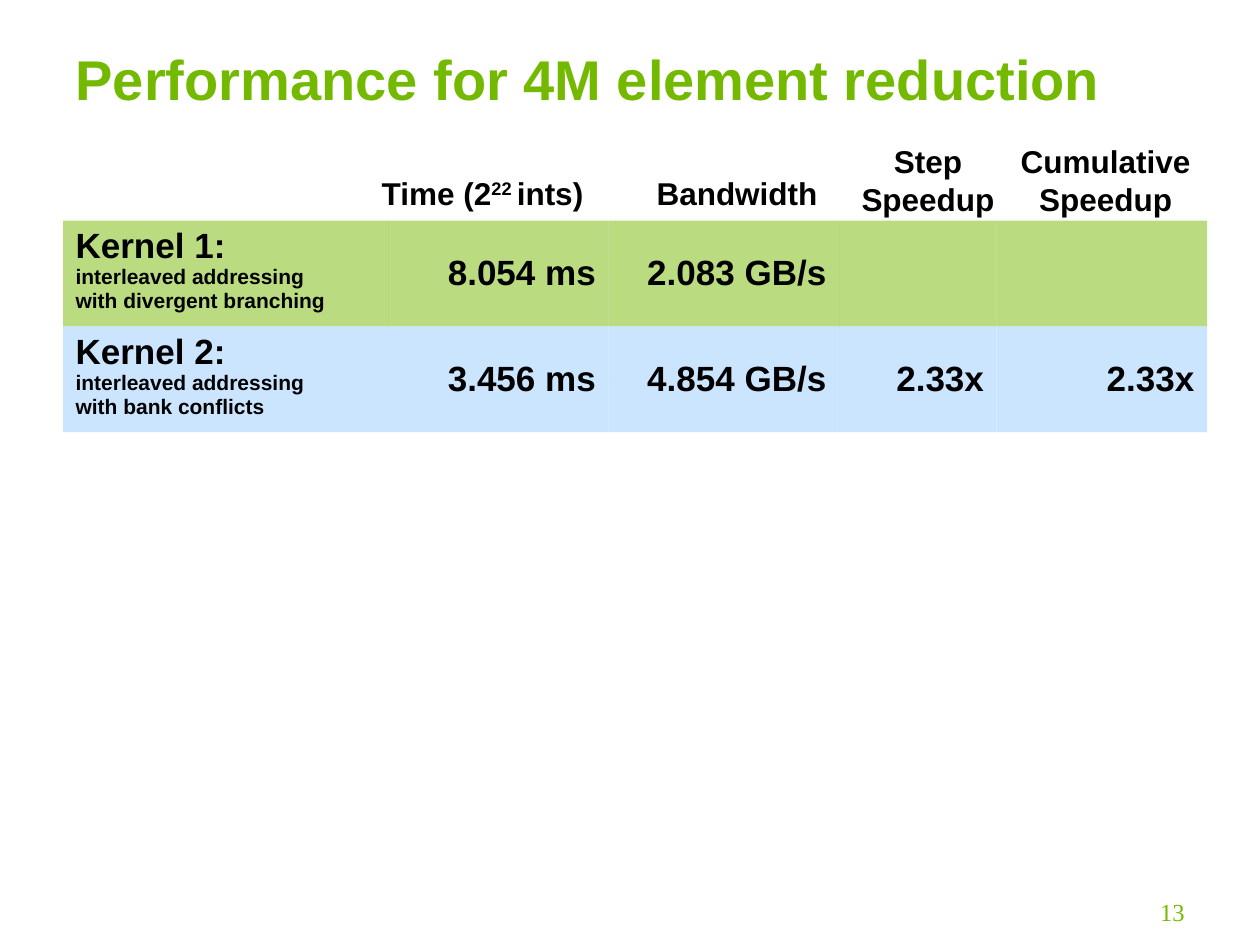
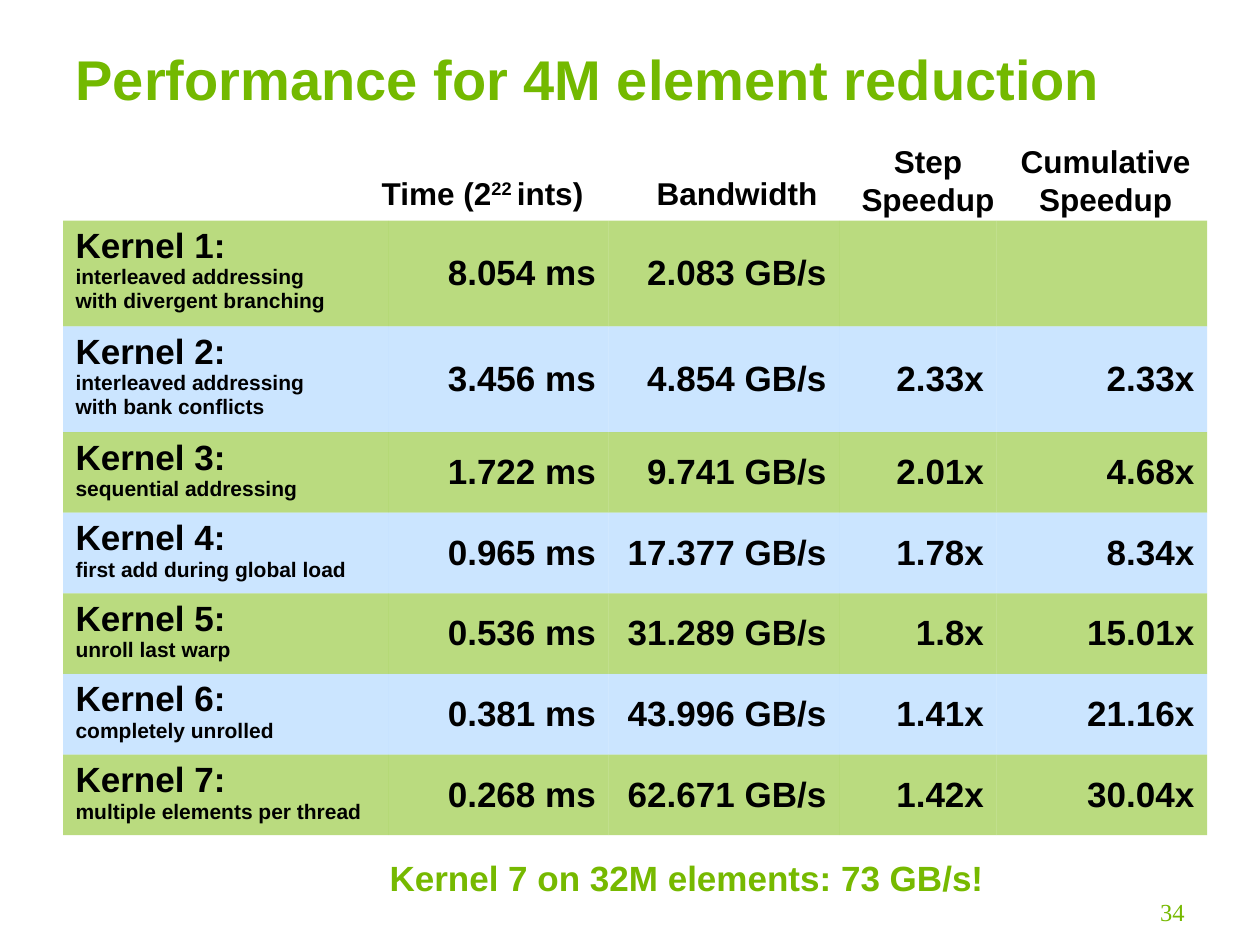
"""Build two slides that compare the speed of reduction kernels."""
from copy import deepcopy

from lxml.etree import SubElement
from pptx import Presentation
from pptx.dml.color import RGBColor
from pptx.enum.text import MSO_ANCHOR as Anchor, PP_ALIGN as Align
from pptx.oxml.ns import qn
from pptx.util import Inches, Pt

COLORS = {
    "title": "73B900",
    "accent": "76B900",
    "text": "000000",
    "odd_row": "76B900",
    "even_row": "99CCFF",
}
TITLE = "Performance for 4M element reduction"
KERNELS = [
    ("interleaved addressing\nwith divergent branching", "8.054 ms", "2.083 GB/s", "", ""),
    ("interleaved addressing\nwith bank conflicts", "3.456 ms", "4.854 GB/s", "2.33x", "2.33x"),
    ("sequential addressing", "1.722 ms", "9.741 GB/s", "2.01x", "4.68x"),
    ("first add during global load", "0.965 ms", "17.377 GB/s", "1.78x", "8.34x"),
    ("unroll last warp", "0.536 ms", "31.289 GB/s", "1.8x", "15.01x"),
    ("completely unrolled", "0.381 ms", "43.996 GB/s", "1.41x", "21.16x"),
    ("multiple elements per thread", "0.268 ms", "62.671 GB/s", "1.42x", "30.04x"),
]
HEADINGS = [
    ((2.93, 1.33, 1.8, 0.4), ["Time (2", "22 ", "ints)"]),
    ((5.11, 1.33, 1.48, 0.4), ["Bandwidth"]),
    ((6.74, 1.08, 1.25, 0.7), ["Step\nSpeedup"]),
    ((8, 1.08, 1.55, 0.7), ["Cumulative\nSpeedup"]),
]
SLIDES = [
    {"number": "13", "kernels": 2, "remark": ""},
    {"number": "34", "kernels": 7, "remark": "Kernel 7 on 32M elements: 73 GB/s!"},
]
TITLE_AREA = (0.5, 0.3, 8.33, 0.64)
REMARK_AREA = (2.99, 6.75, 4.92, 0.44)
NUMBER_AREA = (7.17, 7.07, 2.33, 0.35)
TABLE_LEFT, TABLE_TOP = 0.5, 1.75
COLUMN_WIDTHS = [2.58, 1.75, 1.83, 1.25, 1.67]
ROW_HEIGHTS = {1: 0.64, 2: 0.84}
PLAIN_TABLE_STYLE = "{2D5ABB26-0587-4C30-8999-92F81FD0307C}"


def add_text(para, text, size, color="text", bold=True, font="Arial", raised=False):
    """Add one run for each line of the text, with breaks of the same size."""
    for index, line in enumerate(text.split("\n")):
        if index:
            para.add_line_break()
            para._p[-1].append(deepcopy(span._r.rPr))
        span = para.add_run()
        span.text = line
        span.font.size, span.font.bold, span.font.name = Pt(size), bold, font
        span.font.color.rgb = RGBColor.from_string(COLORS[color])
        if raised:
            span._r.rPr.set("baseline", "30000")


def add_box(page, area, align, side_margin=0.0):
    """Add a text box and return its first paragraph."""
    frame = page.shapes.add_textbox(*map(Inches, area)).text_frame
    frame.word_wrap = True
    frame.margin_left = frame.margin_right = Inches(side_margin)
    para = frame.paragraphs[0]
    para.alignment = align
    return para


def add_title(page):
    """Place and fill the title placeholder."""
    title = page.shapes.title
    title.left, title.top, title.width, title.height = map(Inches, TITLE_AREA)
    title.text_frame.vertical_anchor = Anchor.MIDDLE
    title.text_frame.margin_right = 0
    para = title.text_frame.paragraphs[0]
    para.alignment = Align.LEFT
    add_text(para, TITLE, 32, "title")


def fill_cell(cell, color):
    """Give a cell a half transparent fill."""
    cell.fill.solid()
    cell.fill.fore_color.rgb = RGBColor.from_string(COLORS[color])
    shade = cell._tc.tcPr.find(qn("a:solidFill"))[0]
    SubElement(shade, qn("a:alpha"), val="50000")


def add_kernel_table(page, kernels):
    """Add the table with one row for each kernel."""
    heights = [ROW_HEIGHTS[len(kernel[0].split("\n"))] for kernel in kernels]
    area = (TABLE_LEFT, TABLE_TOP, sum(COLUMN_WIDTHS), sum(heights))
    table = page.shapes.add_table(
        len(kernels), len(COLUMN_WIDTHS), *map(Inches, area)).table
    table.first_row = table.horz_banding = False
    table._tbl.tblPr.find(qn("a:tableStyleId")).text = PLAIN_TABLE_STYLE
    for column, width in zip(table.columns, COLUMN_WIDTHS):
        column.width = Inches(width)
    for number, (kernel, height) in enumerate(zip(kernels, heights), 1):
        row = table.rows[number - 1]
        row.height = Inches(height)
        for index, (cell, text) in enumerate(zip(row.cells, kernel)):
            fill_cell(cell, "odd_row" if number % 2 else "even_row")
            para = cell.text_frame.paragraphs[0]
            if index == 0:
                para.space_before = Pt(3)
                add_text(para, f"Kernel {number}:\n", 20)
                add_text(para, text, 12)
            elif text:
                cell.vertical_anchor = Anchor.MIDDLE
                para.alignment = Align.RIGHT
                para.space_before = Pt(5)
                add_text(para, text, 20)


def add_headings(page):
    """Add the column headings above the table."""
    for area, pieces in HEADINGS:
        para = add_box(page, area, Align.CENTER)
        for index, piece in enumerate(pieces):
            add_text(para, piece, 18, raised=index == 1)


def main():
    """Build and save the deck."""
    deck = Presentation()
    deck.slide_width, deck.slide_height = Inches(10), Inches(7.5)
    for content in SLIDES:
        page = deck.slides.add_slide(deck.slide_layouts.get_by_name("Title Only"))
        add_title(page)
        add_kernel_table(page, KERNELS[:content["kernels"]])
        if content["remark"]:
            add_text(add_box(page, REMARK_AREA, Align.CENTER),
                     content["remark"], 20, "accent")
        add_headings(page)
        add_text(add_box(page, NUMBER_AREA, Align.RIGHT, side_margin=0.1),
                 content["number"], 14, "accent", False, "Times New Roman")
    deck.save("out.pptx")


if __name__ == "__main__":
    main()
